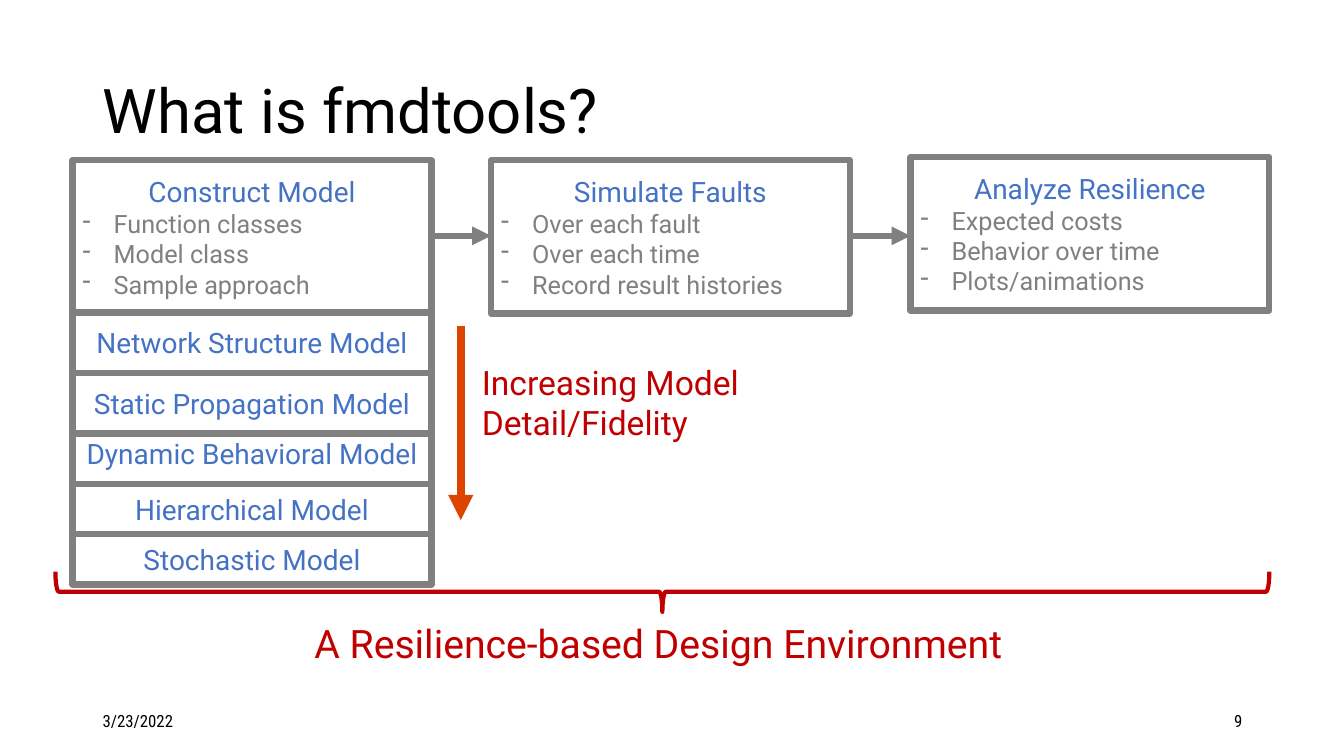
from lxml import etree
from pptx import Presentation
from pptx.dml.color import RGBColor
from pptx.enum.shapes import MSO_CONNECTOR, MSO_SHAPE
from pptx.enum.text import MSO_ANCHOR, PP_ALIGN
from pptx.oxml.ns import qn
from pptx.util import Inches, Pt

GRAY, BLUE, RED, ORANGE, BLACK, WHITE = "808080", "4472C4", "C00000", "DC4400", "000000", "FFFFFF"
color = RGBColor.from_string


def add_run(paragraph, text, size, hue, font="Roboto", align=PP_ALIGN.LEFT):
    paragraph.alignment = align
    run = paragraph.add_run()
    run.text = text
    run.font.size = Pt(size)
    run.font.name = font
    run.font.color.rgb = color(hue)


def add_box(left, top, width, height, heading):
    box = slide.shapes.add_shape(MSO_SHAPE.RECTANGLE, *map(Inches, (left, top, width, height)))
    box.shadow.inherit = False
    box.fill.solid()
    box.fill.fore_color.rgb = color(WHITE)
    box.line.color.rgb = color(GRAY)
    box.line.width = Pt(4.5)
    frame = box.text_frame
    frame.word_wrap = True
    frame.vertical_anchor = MSO_ANCHOR.MIDDLE
    add_run(frame.paragraphs[0], heading, 20, BLUE, align=PP_ALIGN.CENTER)
    return frame


prs = Presentation()
prs.slide_width, prs.slide_height = Inches(13.33), Inches(7.5)
slide = prs.slides.add_slide(prs.slide_layouts[6])

MID, TOP = MSO_ANCHOR.MIDDLE, MSO_ANCHOR.TOP
LEFT, RIGHT = PP_ALIGN.LEFT, PP_ALIGN.RIGHT
captions = [
    ("What is fmdtools?", (0.92, 0.4, 11.5, 1.45), 44, BLACK, "Roboto", LEFT, MID),
    ("3/23/2022", (0.92, 6.95, 3, 0.4), 12, BLACK, "Roboto Condensed", LEFT, MID),
    ("9", (9.42, 6.95, 3, 0.4), 12, BLACK, "Roboto Condensed", RIGHT, MID),
    ("Increasing Model Detail/Fidelity", (4.68, 3.54, 3.09, 0.91), 24, RED, "Roboto", LEFT, TOP),
    ("A Resilience-based Design Environment", (3.02, 6.09, 7.54, 0.57), 28, RED, "Roboto", LEFT, TOP),
]
for text, place, size, hue, font, align, anchor in captions:
    frame = slide.shapes.add_textbox(*map(Inches, place)).text_frame
    frame.word_wrap = True
    frame.vertical_anchor = anchor
    add_run(frame.paragraphs[0], text, size, hue, font, align)
    if size == 44:
        frame.paragraphs[0].line_spacing = 0.9

STEP_WIDTH = 3.56
steps = [
    (9.03, 1.56, "Analyze Resilience", ["Expected costs", "Behavior over time", "Plots/animations"]),
    (4.87, 1.59, "Simulate Faults", ["Over each fault", "Over each time", "Record result histories"]),
    (0.72, 1.59, "Construct Model", ["Function classes", "Model class", "Sample approach"]),
]
for left, top, heading, details in steps:
    frame = add_box(left, top, STEP_WIDTH, 1.52, heading)
    for detail in details:
        item = frame.add_paragraph()
        add_run(item, detail, 18, GRAY)
        props = item._p.get_or_add_pPr()
        props.set("marL", str(Inches(0.31)))
        props.set("indent", str(-Inches(0.31)))
        etree.SubElement(props, qn("a:buFontTx"))
        etree.SubElement(props, qn("a:buChar")).set("char", "-")

models = [
    (3.1, 0.6, "Network Structure Model"),
    (4.2, 0.6, "Dynamic Behavioral Model"),
    (4.8, 0.5, "Hierarchical Model"),
    (3.7, 0.6, "Static Propagation Model"),
    (5.3, 0.5, "Stochastic Model"),
]
for top, height, model in models:
    add_box(0.72, top, STEP_WIDTH, height, model)

arrows = [
    (4.28, 2.34, 4.87, 2.34, GRAY, 4.5),
    (8.43, 2.34, 9.03, 2.34, GRAY, 4.5),
    (4.57, 3.23, 4.57, 5.16, ORANGE, 6),
]
for *ends, hue, weight in arrows:
    arrow = slide.shapes.add_connector(MSO_CONNECTOR.STRAIGHT, *map(Inches, ends))
    arrow.line.color.rgb = color(hue)
    arrow.line.width = Pt(weight)
    etree.SubElement(arrow.line._get_or_add_ln(), qn("a:tailEnd")).set("type", "triangle")
    etree.SubElement(arrow._element.spPr, qn("a:effectLst"))

brace = slide.shapes.add_shape(
    MSO_SHAPE.LEFT_BRACE, Inches(6.37), Inches(-0.15), Inches(0.4), Inches(12.04))
brace.rotation = 270
brace.shadow.inherit = False
brace.fill.background()
brace.line.color.rgb = color(RED)
brace.line.width = Pt(3)

prs.save("out.pptx")
